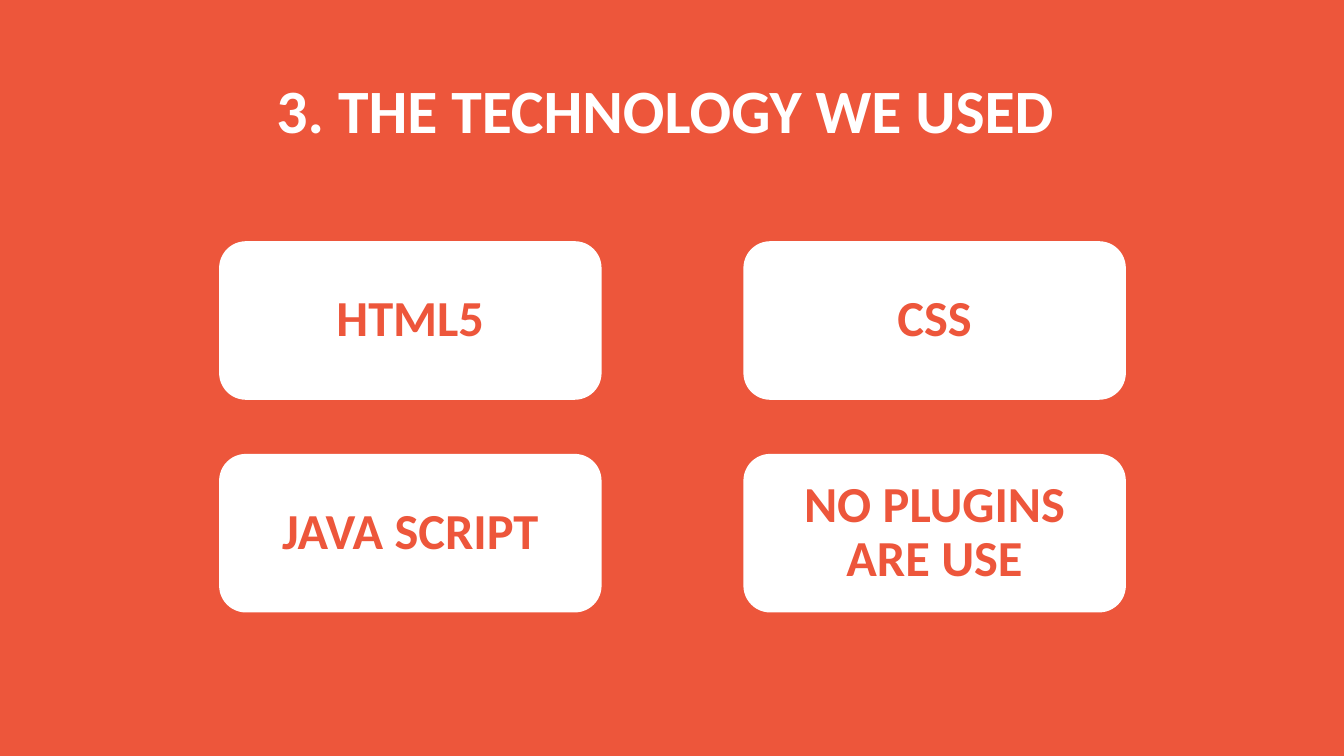
from dataclasses import dataclass

from pptx import Presentation
from pptx.dml.color import RGBColor
from pptx.enum.shapes import MSO_SHAPE
from pptx.enum.text import MSO_ANCHOR, PP_ALIGN
from pptx.shapes.autoshape import Shape
from pptx.slide import Slide
from pptx.util import Inches, Pt


@dataclass(frozen=True)
class Theme:
    face: str = "Calibri"
    coral: RGBColor = RGBColor(0xED, 0x56, 0x3B)
    white: RGBColor = RGBColor(0xFF, 0xFF, 0xFF)
    head: Pt = Pt(44)
    label: Pt = Pt(36)
    edge: Pt = Pt(1)


@dataclass(frozen=True)
class Card:
    text: str
    row: int
    col: int


THEME = Theme()
LEFT, TOP = 2.18, 2.4
WIDTH, HEIGHT = 3.78, 1.56
STEP_X, STEP_Y = 5.2, 2.11
CARDS = [
    Card("HTML5", 0, 0),
    Card("CSS", 0, 1),
    Card("JAVA SCRIPT", 1, 0),
    Card("NO PLUGINS ARE USE", 1, 1),
]


def write(shape: Shape, text: str, size: Pt, color: RGBColor) -> None:
    frame = shape.text_frame
    frame.text = text
    frame.word_wrap = True
    frame.vertical_anchor = MSO_ANCHOR.MIDDLE
    line = frame.paragraphs[0]
    line.alignment = PP_ALIGN.CENTER
    line.line_spacing = 0.9
    font = line.runs[0].font
    for name, value in {"name": THEME.face, "size": size, "bold": True}.items():
        setattr(font, name, value)
    font.color.rgb = color


def add_title(slide: Slide, text: str) -> None:
    title = slide.shapes.title
    place = {"left": 0.92, "top": 0.4, "width": 11.5, "height": 1.45}
    for name, value in place.items():
        setattr(title, name, Inches(value))
    write(title, text, THEME.head, THEME.white)


def add_card(slide: Slide, card: Card) -> None:
    box = slide.shapes.add_shape(
        MSO_SHAPE.ROUNDED_RECTANGLE,
        Inches(LEFT + card.col * STEP_X),
        Inches(TOP + card.row * STEP_Y),
        Inches(WIDTH),
        Inches(HEIGHT),
    )
    box.shadow.inherit = False
    box.fill.solid()
    box.fill.fore_color.rgb = THEME.white
    box.line.color.rgb = THEME.white
    box.line.width = THEME.edge
    write(box, card.text, THEME.label, THEME.coral)


def main() -> None:
    deck = Presentation()
    deck.slide_width = Inches(13.33)
    deck.slide_height = Inches(7.5)
    slide = deck.slides.add_slide(deck.slide_layouts[5])
    fill = slide.background.fill
    fill.solid()
    fill.fore_color.rgb = THEME.coral
    add_title(slide, "3. THE TECHNOLOGY WE USED ")
    for card in CARDS:
        add_card(slide, card)
    deck.save("out.pptx")


if __name__ == "__main__":
    main()
